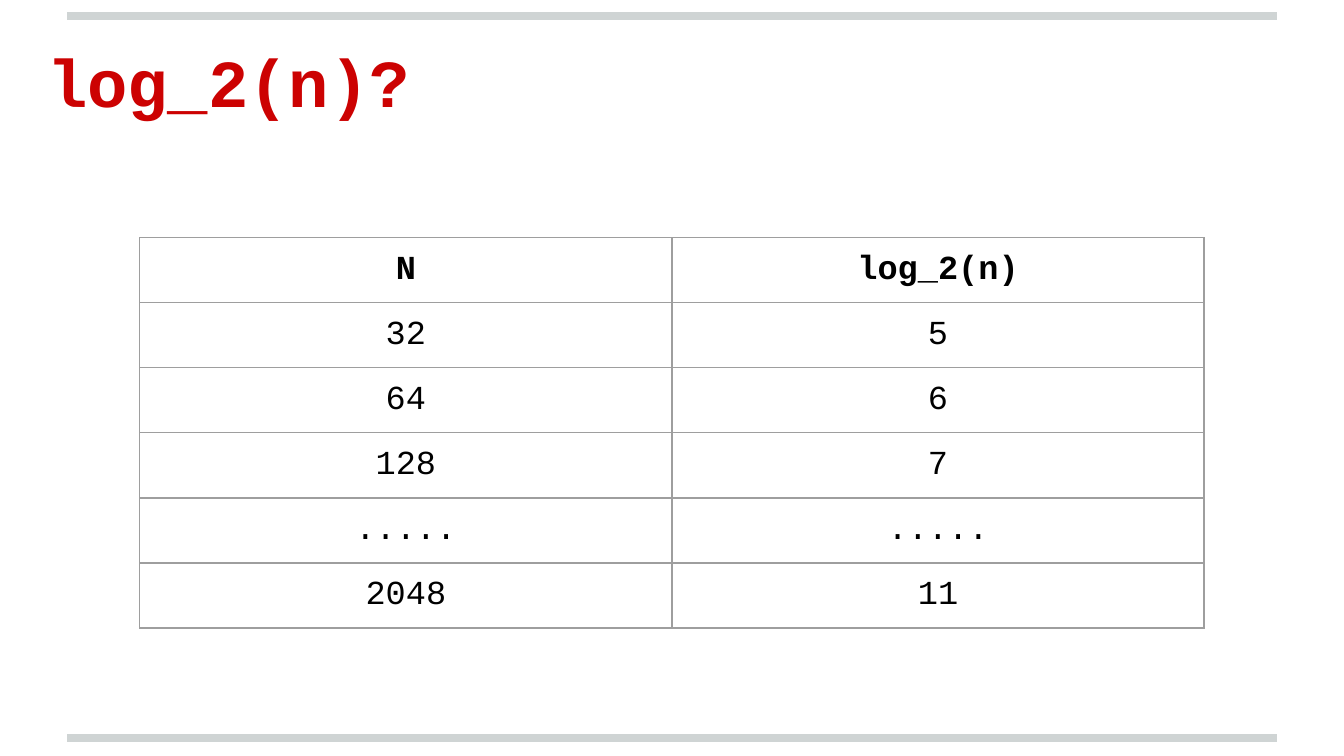
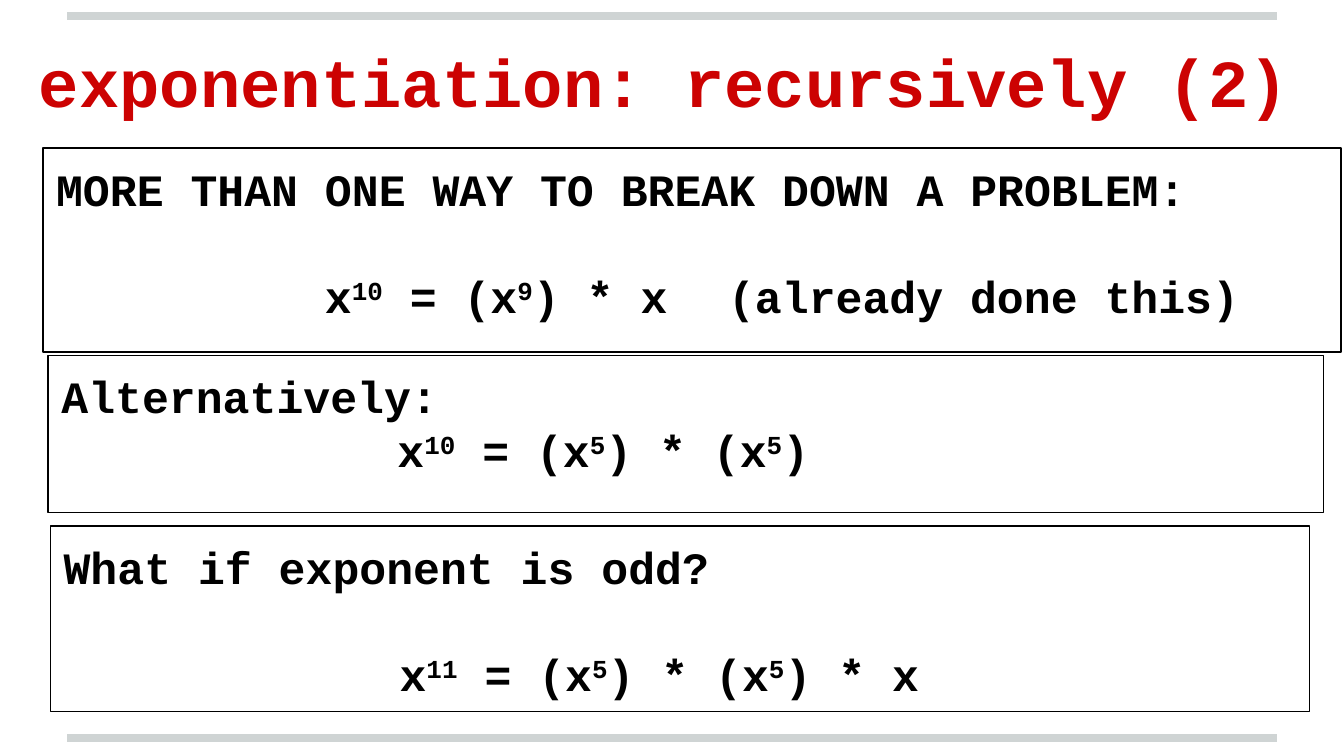
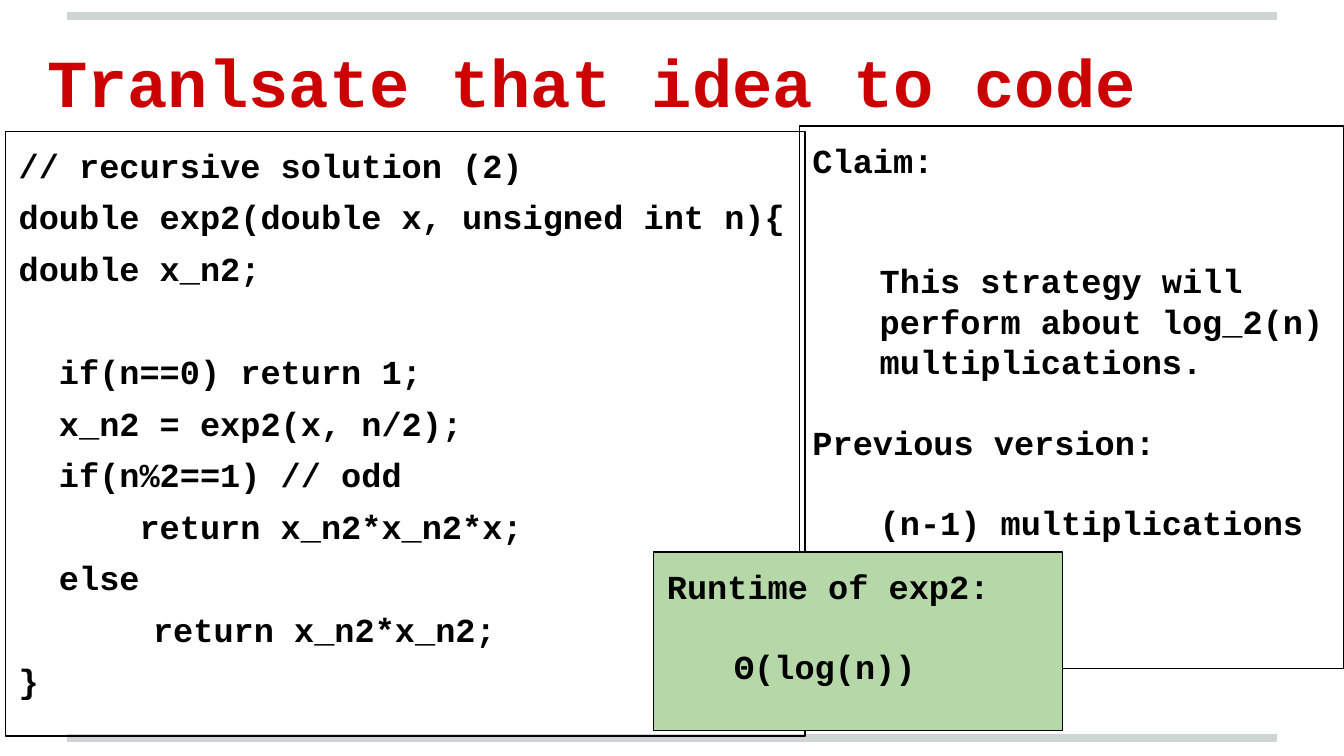
"""Build three slides on logarithmic-time recursive exponentiation."""
from dataclasses import dataclass
from typing import Optional

from lxml.etree import SubElement
from pptx import Presentation
from pptx.dml.color import RGBColor
from pptx.enum.shapes import MSO_CONNECTOR, MSO_SHAPE
from pptx.enum.text import MSO_ANCHOR, MSO_AUTO_SIZE, PP_ALIGN
from pptx.oxml.ns import qn
from pptx.util import Pt

FONT = "Courier New"
BLACK = "000000"
TITLE_RED = "CC0202"
BAND_GREY = "CFD4D4"
GRID_GREY = "9E9E9E"
RUNTIME_GREEN = "B6D7A8"
INSET = 7.2
LINE_RATIO = 1.2
CODE_SIZE = 18
CODE_GAP = 6
CODE_LINE = CODE_SIZE * LINE_RATIO
CODE_STEP = CODE_LINE + CODE_GAP
CODE_CHARACTER = CODE_SIZE * 0.6
FORMULA_SIZE = 24
FORMULA_LINE = FORMULA_SIZE * LINE_RATIO


@dataclass(frozen=True)
class Frame:
    left: float
    top: float
    width: float
    height: float

    def lengths(self):
        return tuple(Pt(value) for value in (self.left, self.top, self.width, self.height))


@dataclass(frozen=True)
class Line:
    text: str
    indent: float = 0
    before: float = 0
    tab: Optional[float] = None


@dataclass(frozen=True)
class Panel:
    frame: Frame
    size: float
    lines: tuple[Line, ...]
    fill: Optional[str] = None


STANDARD_TITLE = Frame(18, 4.3, 666.7, 67.7)
WIDE_TITLE = Frame(13.7, 4.3, 695.5, 67.7)

LOG_ROWS = (
    ("N", "log_2(n)"),
    ("32", "5"),
    ("64", "6"),
    ("128", "7"),
    (".....", "....."),
    ("2048", "11"),
)

BREAKDOWN_PANELS = (
    Panel(Frame(23, 79.4, 695.5, 109.2), FORMULA_SIZE, (
        Line("MORE THAN ONE WAY TO BREAK DOWN A PROBLEM:"),
        Line("x^10^ = (x^9^) * x\t(already done this)", 144, FORMULA_LINE, 387.6),
    )),
    Panel(Frame(25.8, 190.6, 683.3, 83.9), FORMULA_SIZE, (
        Line("Alternatively:"),
        Line("x^10^ = (x^5^) * (x^5^)", 180),
    )),
    Panel(Frame(27, 281.7, 674.6, 99.4), FORMULA_SIZE, (
        Line("What if exponent is odd?"),
        Line("x^11^ = (x^5^) * (x^5^) * x", 180, FORMULA_LINE),
    )),
)

CODE_PANELS = (
    Panel(Frame(2.9, 70.4, 428.4, 324), CODE_SIZE, (
        Line("// recursive solution (2)"),
        Line("double exp2(double x, unsigned int n){", 0, CODE_GAP),
        Line("double x_n2;", 0, CODE_GAP),
        Line("if(n==0) return 1;", 2 * CODE_CHARACTER, CODE_GAP + CODE_STEP),
        Line("x_n2 = exp2(x, n/2);", 2 * CODE_CHARACTER, CODE_GAP),
        Line("if(n%2==1) // odd", 2 * CODE_CHARACTER, CODE_GAP),
        Line("return x_n2*x_n2*x;", 6 * CODE_CHARACTER, CODE_GAP),
        Line("else", 2 * CODE_CHARACTER, CODE_GAP),
        Line("return x_n2*x_n2;", 72, CODE_GAP),
        Line("}", 0, CODE_GAP),
    )),
    Panel(Frame(428.2, 67.5, 291.8, 290.7), CODE_SIZE, (
        Line("Claim:"),
        Line("This strategy will perform about log_2(n) multiplications.", 36, 2 * CODE_LINE),
        Line("Previous version:", 0, CODE_LINE),
        Line("(n-1) multiplications", 36, CODE_LINE),
    )),
    Panel(Frame(350.2, 295.8, 219, 95.6), CODE_SIZE, (
        Line("Runtime of exp2:"),
        Line("Θ(log(n))", 36, CODE_LINE),
    ), RUNTIME_GREEN),
)


def color(value: str) -> RGBColor:
    return RGBColor.from_string(value)


def add_span(para, text: str, size: float, ink: str = BLACK, bold: bool = True):
    span = para.add_run()
    span.text = text
    span.font.name = FONT
    span.font.size = Pt(size)
    span.font.bold = bold
    span.font.color.rgb = color(ink)
    return span


def prepare_text(text_frame, anchor) -> None:
    text_frame.word_wrap = True
    text_frame.auto_size = MSO_AUTO_SIZE.NONE
    text_frame.vertical_anchor = anchor
    text_frame.margin_left = text_frame.margin_right = Pt(INSET)
    text_frame.margin_top = text_frame.margin_bottom = Pt(INSET)


def write_line(para, line: Line, size: float) -> None:
    para.alignment = PP_ALIGN.LEFT
    para.line_spacing = Pt(size * LINE_RATIO)
    para.space_before = Pt(line.before)
    properties = para._p.get_or_add_pPr()
    if line.tab is None:
        properties.set("marL", str(Pt(line.indent)))
        properties.set("indent", "0")
    else:
        properties.set("marL", "0")
        properties.set("indent", str(Pt(line.indent)))
        stops = SubElement(properties, qn("a:tabLst"))
        SubElement(stops, qn("a:tab"), pos=str(Pt(line.tab)), algn="l")
    for index, part in enumerate(line.text.split("^")):
        if part:
            span = add_span(para, part, size)
            if index % 2:
                span._r.get_or_add_rPr().set("baseline", "30000")


def add_panel(page, panel: Panel) -> None:
    box = page.shapes.add_shape(MSO_SHAPE.RECTANGLE, *panel.frame.lengths())
    box.shadow.inherit = False
    box.line.color.rgb = color(BLACK)
    box.line.width = Pt(0.75)
    if panel.fill:
        box.fill.solid()
        box.fill.fore_color.rgb = color(panel.fill)
    else:
        box.fill.background()
    prepare_text(box.text_frame, MSO_ANCHOR.TOP)
    for index, line in enumerate(panel.lines):
        para = box.text_frame.add_paragraph() if index else box.text_frame.paragraphs[0]
        write_line(para, line, panel.size)


def border_cell(cell) -> None:
    properties = cell._tc.get_or_add_tcPr()
    for position, side in enumerate(("lnL", "lnR", "lnT", "lnB")):
        edge = SubElement(properties, qn(f"a:{side}"), w=str(Pt(0.75)))
        fill = SubElement(edge, qn("a:solidFill"))
        SubElement(fill, qn("a:srgbClr"), val=GRID_GREY)
        properties.insert(position, edge)


def add_log_table(page) -> None:
    frame = Frame(74.9, 127.4, 570.2, 30 * len(LOG_ROWS))
    table = page.shapes.add_table(len(LOG_ROWS), 2, *frame.lengths()).table
    table.first_row = table.horz_banding = False
    for row_index, values in enumerate(LOG_ROWS):
        for column_index, value in enumerate(values):
            cell = table.cell(row_index, column_index)
            cell.fill.background()
            cell.margin_left = cell.margin_right = Pt(INSET)
            cell.margin_top = cell.margin_bottom = Pt(INSET)
            para = cell.text_frame.paragraphs[0]
            para.alignment = PP_ALIGN.CENTER
            add_span(para, value, CODE_SIZE, bold=row_index == 0)
            border_cell(cell)


def add_page(deck, title: str, frame: Frame = STANDARD_TITLE):
    page = deck.slides.add_slide(deck.slide_layouts[5])
    box = page.shapes.title
    box.left, box.top, box.width, box.height = frame.lengths()
    prepare_text(box.text_frame, MSO_ANCHOR.BOTTOM)
    para = box.text_frame.paragraphs[0]
    para.alignment = PP_ALIGN.LEFT
    add_span(para, title, 36, TITLE_RED)
    return page


def move_bands_to_master(deck, page) -> None:
    for height in (395.3, 8.6):
        band = page.shapes.add_connector(
            MSO_CONNECTOR.STRAIGHT, Pt(36), Pt(height), Pt(684), Pt(height))
        band.line.color.rgb = color(BAND_GREY)
        band.line.width = Pt(4)
        SubElement(band.element.spPr, qn("a:effectLst"))
        deck.slide_master.shapes.element.append(band.element)


def main() -> None:
    deck = Presentation()
    deck.slide_width, deck.slide_height = Pt(720), Pt(405)
    log_page = add_page(deck, "log_2(n)?")
    move_bands_to_master(deck, log_page)
    add_log_table(log_page)
    breakdown_page = add_page(deck, "exponentiation: recursively (2)", WIDE_TITLE)
    for panel in BREAKDOWN_PANELS:
        add_panel(breakdown_page, panel)
    code_page = add_page(deck, "Tranlsate that idea to code")
    for panel in CODE_PANELS:
        add_panel(code_page, panel)
    deck.save("out.pptx")


if __name__ == "__main__":
    main()
